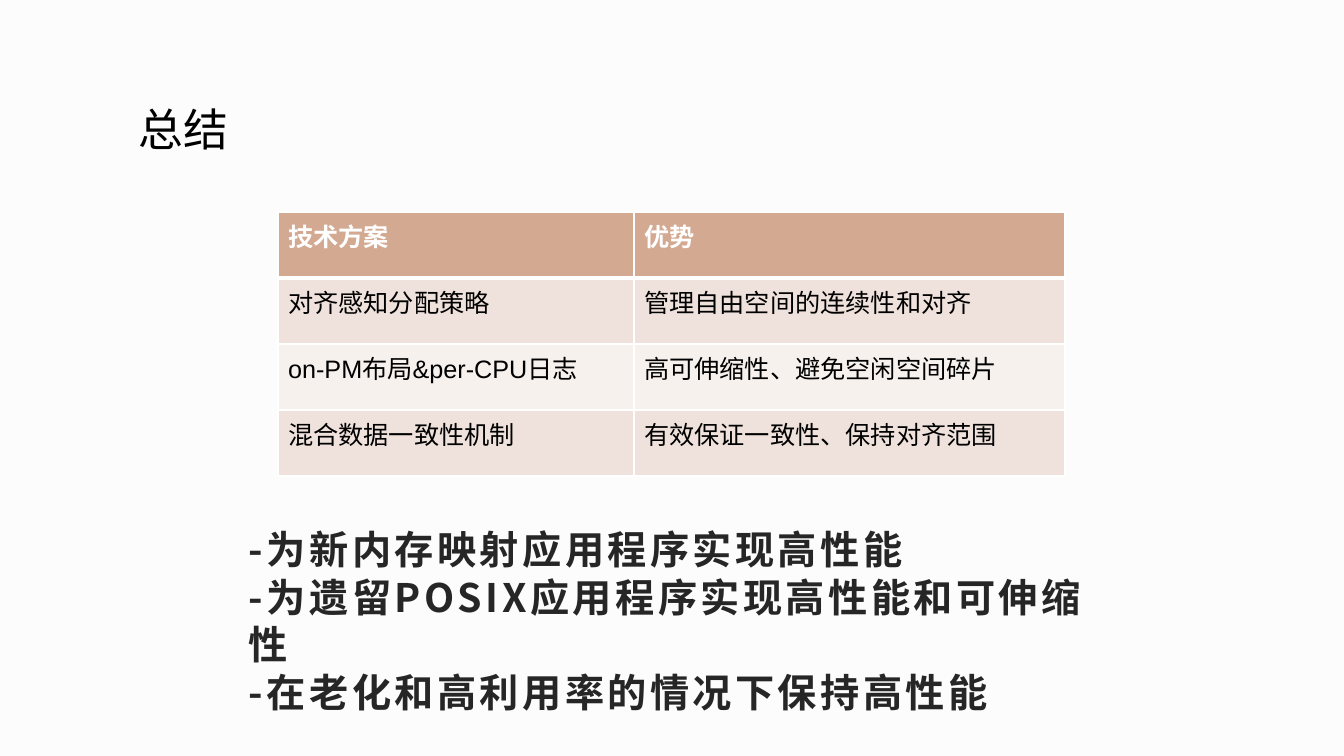
import pptx
import pptx.util
import pptx.dml.color
import pptx.enum.text
import pptx.oxml
import pptx.oxml.ns

RGBColor = pptx.dml.color.RGBColor
BACKGROUND = RGBColor(0xFD, 0xFC, 0xFC)
HEADER_FILL = RGBColor(0xD3, 0xA9, 0x91)
ODD_FILL = RGBColor(0xEF, 0xE2, 0xDC)
EVEN_FILL = RGBColor(0xF7, 0xF1, 0xEE)
WHITE = RGBColor(0xFF, 0xFF, 0xFF)
BLACK = RGBColor(0, 0, 0)
DARK_GREY = RGBColor(0x26, 0x26, 0x26)
CJK_FONT = "Noto Sans CJK SC"

TITLE = ["总结"]
ROWS = [
    ("技术方案", "优势"),
    ("对齐感知分配策略", "管理自由空间的连续性和对齐"),
    ("on-PM布局&per-CPU日志", "高可伸缩性、避免空闲空间碎片"),
    ("混合数据一致性机制", "有效保证一致性、保持对齐范围"),
]
CONCLUSIONS = [
    "-为新内存映射应用程序实现高性能",
    "-为遗留POSIX应用程序实现高性能和可伸缩性",
    "-在老化和高利用率的情况下保持高性能",
]

TITLE_BOX = (129, 96, 110, 64)
CONCLUSION_BOX = (239, 520, 889, 152)
TABLE_LEFT, TABLE_TOP = 278, 212
COLUMN_WIDTHS = (356, 431)
ROW_HEIGHT = 66
EMU_PER_PX = 914400 / 100.8


def px(length):
    return pptx.util.Emu(round(length * EMU_PER_PX))


def write_text(frame, lines, size, color, font="Arial", bold=False,
               spacing=None, line_height=None):
    for index, line in enumerate(lines):
        paragraph = frame.add_paragraph() if index else frame.paragraphs[0]
        if line_height:
            paragraph.line_spacing = pptx.util.Pt(line_height)
        run = paragraph.add_run()
        run.text = line
        run.font.size = pptx.util.Pt(size)
        run.font.name = font
        run.font.bold = bold
        run.font.color.rgb = color
        properties = run.font._element
        properties.set("lang", "zh-CN")
        if spacing:
            properties.set("spc", str(round(spacing * 100)))
        east_asian = pptx.oxml.parse_xml(
            f'<a:ea {pptx.oxml.ns.nsdecls("a")} typeface="{CJK_FONT}"/>')
        properties.find(pptx.oxml.ns.qn("a:latin")).addnext(east_asian)


def add_text_box(slide, box, lines, wrap, **text_format):
    frame = slide.shapes.add_textbox(*map(px, box)).text_frame
    frame.word_wrap = wrap
    frame.auto_size = pptx.enum.text.MSO_AUTO_SIZE.SHAPE_TO_FIT_TEXT
    write_text(frame, lines, **text_format)


def set_borders(cell, widths):
    properties = cell._tc.get_or_add_tcPr()
    for index, (side, width) in enumerate(widths.items()):
        border = pptx.oxml.parse_xml(
            f'<a:ln{side} {pptx.oxml.ns.nsdecls("a")} w="{pptx.util.Pt(width)}">'
            f'<a:solidFill><a:srgbClr val="{WHITE}"/></a:solidFill></a:ln{side}>')
        properties.insert(index, border)


def add_summary_table(slide):
    table = slide.shapes.add_table(
        len(ROWS), len(COLUMN_WIDTHS), px(TABLE_LEFT), px(TABLE_TOP),
        px(sum(COLUMN_WIDTHS)), px(ROW_HEIGHT * len(ROWS))).table
    for column, width in zip(table.columns, COLUMN_WIDTHS):
        column.width = px(width)
    for row_index, values in enumerate(ROWS):
        table.rows[row_index].height = px(ROW_HEIGHT)
        header = row_index == 0
        fill = HEADER_FILL if header else ODD_FILL if row_index % 2 else EVEN_FILL
        for column_index, value in enumerate(values):
            cell = table.cell(row_index, column_index)
            cell.fill.solid()
            cell.fill.fore_color.rgb = fill
            write_text(cell.text_frame, [value], size=18,
                       color=WHITE if header else BLACK, bold=header)
            set_borders(cell, {"L": 1, "R": 1, "T": 3 if row_index == 1 else 1,
                               "B": 3 if header else 1})


def main():
    presentation = pptx.Presentation()
    presentation.slide_width = px(1344)
    presentation.slide_height = px(756)
    slide = presentation.slides.add_slide(presentation.slide_layouts[6])
    slide.background.fill.solid()
    slide.background.fill.fore_color.rgb = BACKGROUND
    add_summary_table(slide)
    add_text_box(slide, CONCLUSION_BOX, CONCLUSIONS, True, size=28,
                 color=DARK_GREY, font=CJK_FONT, bold=True, spacing=2.5,
                 line_height=34)
    add_text_box(slide, TITLE_BOX, TITLE, False, size=32, color=BLACK,
                 line_height=39)
    presentation.save("out.pptx")


if __name__ == "__main__":
    main()
